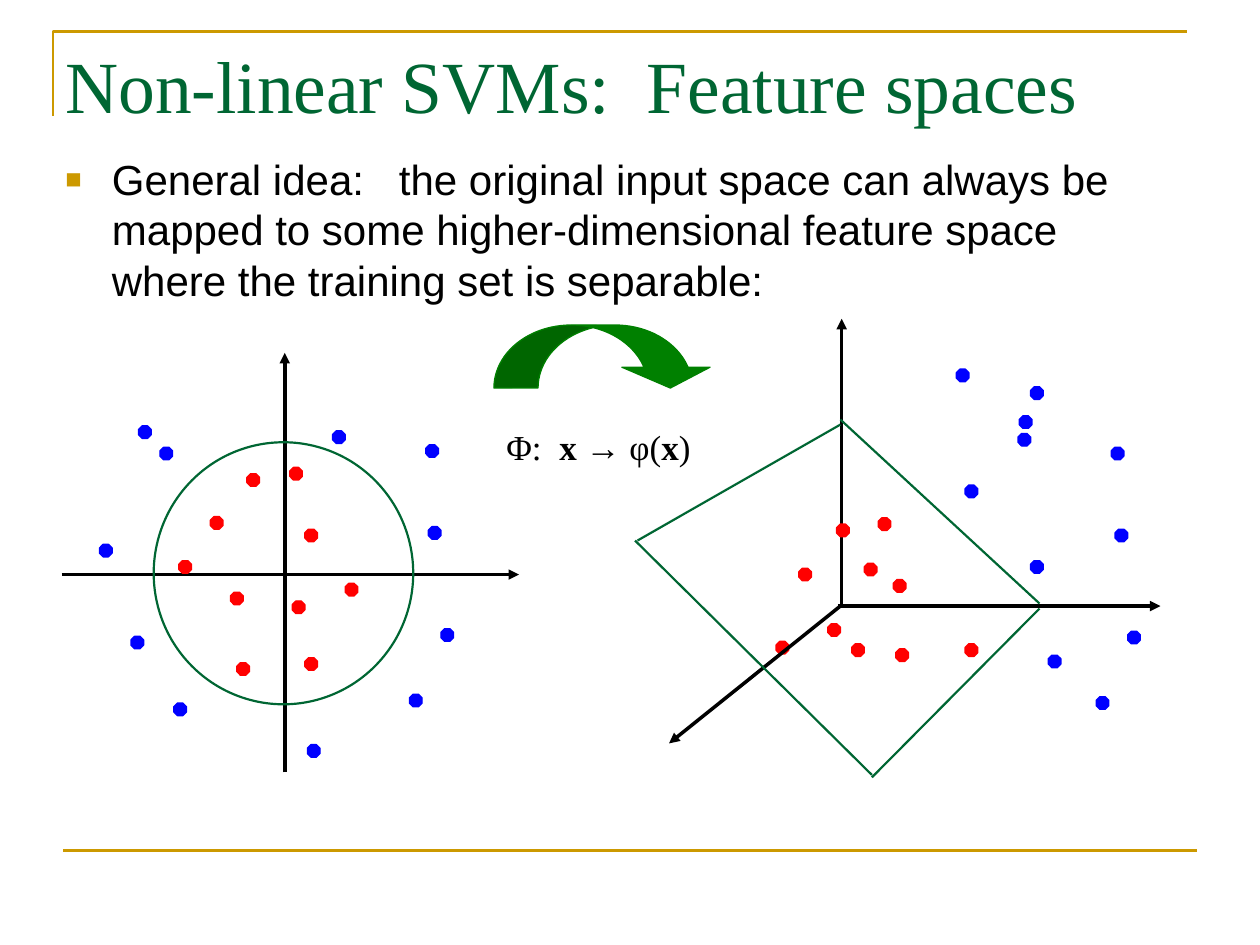
from lxml import etree
from pptx import Presentation
from pptx.dml.color import RGBColor
from pptx.enum.shapes import MSO_CONNECTOR, MSO_SHAPE
from pptx.enum.text import MSO_ANCHOR, MSO_AUTO_SIZE
from pptx.oxml.ns import qn
from pptx.util import Inches, Pt

OCT, OVAL, ARC = MSO_SHAPE.OCTAGON, MSO_SHAPE.OVAL, MSO_SHAPE.CURVED_DOWN_ARROW
STRAIGHT = MSO_CONNECTOR.STRAIGHT
MID, TOP = MSO_ANCHOR.MIDDLE, MSO_ANCHOR.TOP
FIT, FIXED = MSO_AUTO_SIZE.SHAPE_TO_FIT_TEXT, MSO_AUTO_SIZE.NONE

# Content: all places are columns and rows of a 1000 x 750 grid
COLS, ROWS = 1000, 750
TITLE = "Non-linear SVMs:  Feature spaces"
IDEA = ("General idea:   the original input space can always be mapped to some "
        "higher-dimensional feature space where the training set is separable:")
MAP = [("Φ:  ", False), ("x → ", True), ("φ(", False), ("x", True), (")", False)]

FRAME = [(42, 92), (42, 25), (942, 25)]
FOOT = [(50, 675, 950, 675)]
AXES = [(226, 613, 226, 280), (49, 456, 412, 456),
        (668, 479, 668, 253), (665, 481, 921, 481)]
DEPTH = [(667, 481, 531, 590)]
PLANE = [(667, 333, 825, 479), (692, 617, 825, 483),
         (506, 429, 667, 337), (504, 429, 692, 615)]
RING = (122, 351, 206, 208)
BEND = (392, 258, 175, 50)
DOT = 10

# Left and top of each dot: input space, then feature space
DOTS = {
    "red": [
        (230, 371), (167, 410), (183, 470), (242, 522), (196, 376),
        (142, 445), (188, 526), (242, 420), (274, 463), (232, 477),
        (697, 411), (634, 451), (676, 511), (766, 511), (664, 416),
        (686, 447), (711, 515), (709, 460), (657, 495), (616, 509)],
    "blue": [
        (340, 418), (325, 551), (79, 432), (244, 591), (350, 499),
        (138, 558), (104, 505), (110, 338), (264, 342), (127, 355), (338, 353),
        (885, 420), (870, 553), (818, 307), (818, 445), (895, 501),
        (766, 385), (832, 520), (809, 330), (808, 344), (759, 293), (882, 355)],
}

THEME = {
    "gold": RGBColor(0xCC, 0x99, 0x00), "pine": RGBColor(0x00, 0x66, 0x33),
    "leaf": RGBColor(0x00, 0x80, 0x00), "black": RGBColor(0, 0, 0),
    "red": RGBColor(0xFF, 0, 0), "blue": RGBColor(0, 0, 0xFF),
    "title": {"name": "Times New Roman", "size": Pt(42)},
    "body": {"name": "Arial", "size": Pt(24)},
    "math": {"name": "Times New Roman", "size": Pt(20)},
}

deck = Presentation()
deck.slide_width, deck.slide_height = Inches(10), Inches(7.5)
slide = deck.slides.add_slide(deck.slide_layouts[6])
shapes = slide.shapes
UNIT_X, UNIT_Y = deck.slide_width // COLS, deck.slide_height // ROWS


def place(x, y, *rest):
    """Turn grid pairs into slide lengths."""
    return [n * (UNIT_Y if i % 2 else UNIT_X) for i, n in enumerate((x, y, *rest))]


def stroke(line, color, width):
    line.color.rgb = THEME[color]
    line.width = Pt(width)


def paint(shape, fill, line, width):
    shape.shadow.inherit = False
    if fill:
        shape.fill.solid()
        shape.fill.fore_color.rgb = THEME[fill]
    else:
        shape.fill.background()
    stroke(shape.line, line, width)


def draw(kind, box, fill, line, width, adj=()):
    shape = shapes.add_shape(kind, *place(*box))
    for i, part in enumerate(adj):
        shape.adjustments[i] = part
    paint(shape, fill, line, width)


def rule(ends, color, width, arrow=False):
    for item in ends:
        link = shapes.add_connector(STRAIGHT, *place(*item))
        stroke(link.line, color, width)
        if arrow:
            etree.SubElement(link.line._get_or_add_ln(), qn("a:tailEnd"), type="triangle")
        etree.SubElement(link._element.spPr, qn("a:effectLst"))


def write(box, runs, style, color, anchor=TOP, fit=FIXED, before=0):
    frame = shapes.add_textbox(*place(*box)).text_frame
    form = {"word_wrap": True, "vertical_anchor": anchor, "auto_size": fit}
    for key, val in form.items():
        setattr(frame, key, val)
    para = frame.paragraphs[0]
    para.space_before = Pt(before)
    for text, bold in runs:
        run = para.add_run()
        run.text = text
        for key, val in {**THEME[style], "bold": bold}.items():
            setattr(run.font, key, val)
        run.font.color.rgb = THEME[color]
    return para


def bullet(para, color, sign, share, indent):
    props = para._p.get_or_add_pPr()
    props.set("marL", str(indent))
    props.set("indent", str(-indent))
    tint = etree.SubElement(props, qn("a:buClr"))
    etree.SubElement(tint, qn("a:srgbClr"), val=str(THEME[color]))
    etree.SubElement(props, qn("a:buSzPct"), val=str(share * 1000))
    etree.SubElement(props, qn("a:buFont"), typeface="Arial")
    etree.SubElement(props, qn("a:buChar"), char=sign)


# Gold corner frame and foot rule
start, *rest = [place(*spot) for spot in FRAME]
pen = shapes.build_freeform(*start)
pen.add_line_segments(rest, close=False)
paint(pen.convert_to_shape(), None, "gold", 1.5)
rule(FOOT, "gold", 1.5)

# Title and main idea
write((42, 25, 850, 83), [(TITLE, False)], "title", "pine", MID)
idea = write((42, 117, 900, 550), [(IDEA, False)], "body", "black", before=6)
bullet(idea, "gold", "■", 65, Inches(0.37))

# Both spaces: axes, dots and the boundary of each
rule(AXES, "black", 2, True)
for tone, spots in DOTS.items():
    for spot in spots:
        draw(OCT, (*spot, DOT, DOT), tone, tone, 0.75, [0.29])
draw(OVAL, RING, None, "pine", 1.25)
rule(DEPTH, "black", 2, True)
rule(PLANE, "pine", 1.25)

# Mapping arrow and formula
draw(ARC, BEND, "leaf", "leaf", 0.75, [0.7, 1.4, 0.33])
write((392, 333, 208, 48), MAP, "math", "black", fit=FIT, before=12.5)

deck.save("out.pptx")
